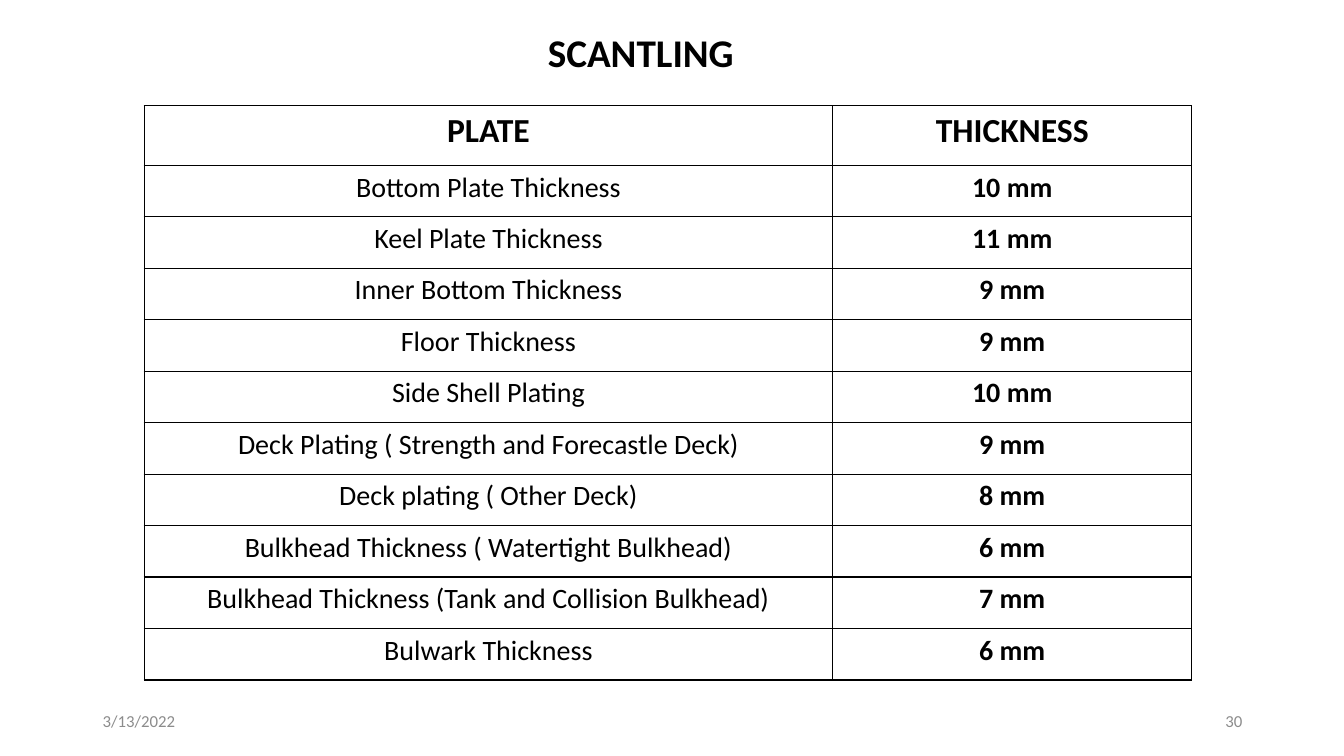
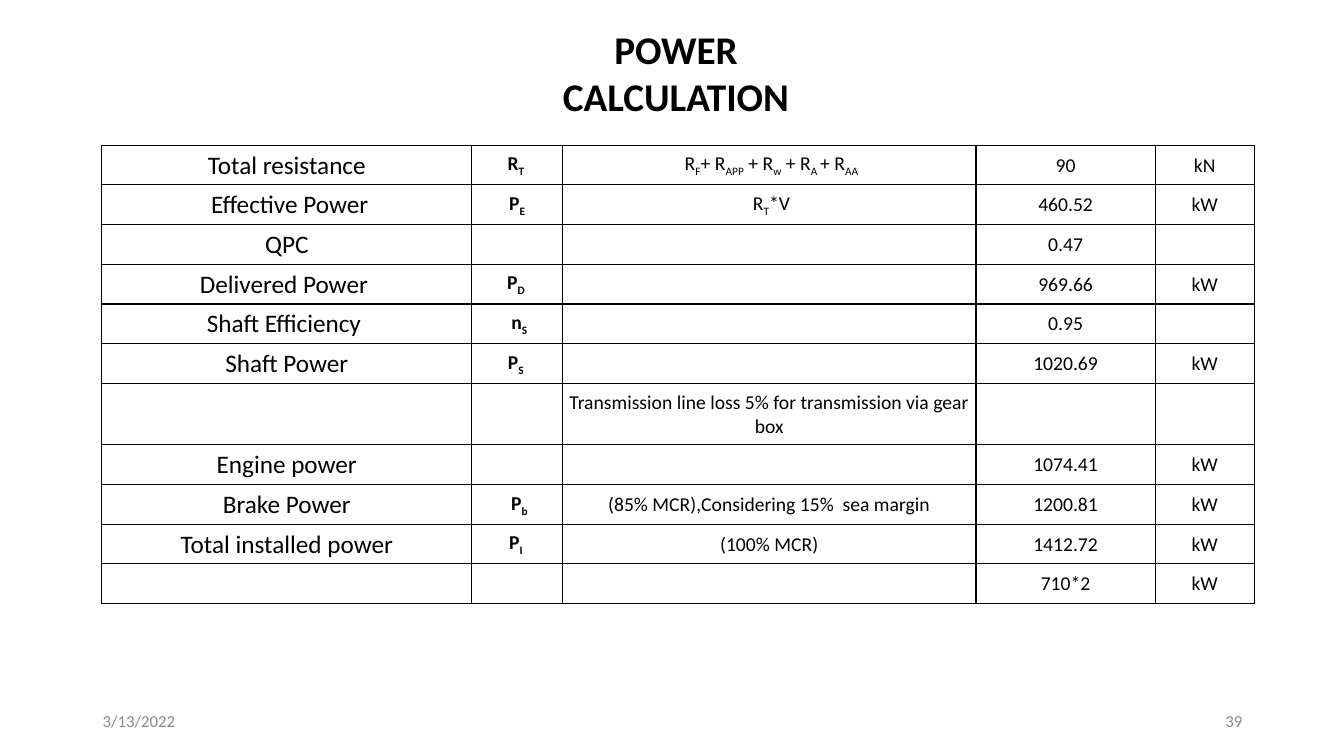
from dataclasses import dataclass
from typing import Any

from lxml import etree
from pptx import Presentation
from pptx import util as u
from pptx.dml.color import RGBColor
from pptx.enum import text as t
from pptx.oxml import ns

BLACK = RGBColor(0, 0, 0)
GREY = RGBColor(0x8C, 0x8C, 0x8C)
WHITE = RGBColor(255, 255, 255)
FACE = "Calibri"
DATE = "3/13/2022"
LEFT, MID, RIGHT = t.PP_ALIGN.LEFT, t.PP_ALIGN.CENTER, t.PP_ALIGN.RIGHT
TITLE = {"size": u.Pt(28), "bold": True}
FOOT = {"size": u.Pt(12), "bold": False}
HEAD = {"size": u.Pt(24), "bold": True}
PLATE = {"size": u.Pt(20), "bold": False}
THICK = {"size": u.Pt(20), "bold": True}
NAME = {"size": u.Pt(18), "bold": False}
SIGN = {"size": u.Pt(14), "bold": True}
VALUE = {"size": u.Pt(14), "bold": False}
TIGHT = {
    "margin_left": u.Inches(0.01),
    "margin_right": u.Inches(0.01),
    "margin_top": u.Inches(0.01),
    "margin_bottom": 0,
    "vertical_anchor": t.MSO_ANCHOR.MIDDLE,
}
SUB = "-25000"


@dataclass
class Box:
    x: float
    y: float
    w: float
    h: float


@dataclass
class Grid:
    box: Box
    cols: list[float]
    odd: int
    tall: float
    rows: list[list[str]]
    fonts: list[dict[str, Any]]
    head: dict[str, Any] | None
    cell: dict[str, Any]


@dataclass
class Page:
    title: str
    place: Box
    num: str
    grid: Grid


PLATES = [
    ["PLATE", "THICKNESS"],
    ["Bottom Plate Thickness", "10 mm"],
    ["Keel Plate Thickness", "11 mm"],
    ["Inner Bottom Thickness", "9 mm"],
    ["Floor Thickness", "9 mm"],
    ["Side Shell Plating", "10 mm"],
    ["Deck Plating ( Strength and Forecastle Deck)", "9 mm"],
    ["Deck plating ( Other Deck)", "8 mm"],
    ["Bulkhead Thickness ( Watertight Bulkhead)", "6 mm"],
    ["Bulkhead Thickness (Tank and Collision Bulkhead)", "7 mm"],
    ["Bulwark Thickness", "6 mm"],
]
POWERS = [
    ["Total resistance", "R|T |", " R|F|+ R|APP| + R|w| + R|A |+ R|AA|", "90", "kN"],
    [" Effective Power", "P|E|", " R|T|*V", "460.52", "kW"],
    ["QPC", "", "", "0.47", ""],
    ["Delivered Power ", "P|D |", "", "969.66", "kW"],
    ["Shaft Efficiency ", " n|S|", "", "0.95", ""],
    ["Shaft Power", "P|S |", "", "1020.69", "kW"],
    ["", "", "Transmission line loss 5% for transmission via gear box", "", ""],
    ["Engine power", "", "", "1074.41", "kW"],
    ["Brake Power", " P|b|", "(85% MCR),Considering 15%  sea margin", "1200.81", "kW"],
    ["Total installed power", "P|I |", "(100% MCR)", "1412.72", "kW"],
    ["", "", "", "710*2", "kW"],
]
PAGES = [
    Page("SCANTLING", Box(5.3, 0.23, 2.11, 0.57), "30",
         Grid(Box(1.43, 1.05, 10.39, 5.7), [6.83, 3.56], 0, 0.59,
              PLATES, [PLATE, THICK], HEAD, {})),
    Page("POWER CALCULATION", Box(4.83, 0.2, 3.75, 0.57), "39",
         Grid(Box(1.01, 1.44, 11.44, 4.55), [3.67, 0.9, 4.1, 1.78, 0.98], 6, 0.61,
              POWERS, [NAME, SIGN, VALUE, VALUE, VALUE], None, TIGHT)),
]


def span(box: Box) -> list[int]:
    return [u.Inches(v) for v in (box.x, box.y, box.w, box.h)]


def put(item: Any, form: dict[str, Any]) -> None:
    for key, val in form.items():
        setattr(item, key, val)


def write(para: Any, words: str, form: dict[str, Any], tint: RGBColor, side: Any) -> None:
    para.alignment = side
    for i, part in enumerate(words.split("|")):
        if part:
            run = para.add_run()
            run.text = part
            put(run.font, {"name": FACE, **form})
            run.font.color.rgb = tint
            if i % 2:
                run.font._element.set("baseline", SUB)


def label(slide: Any, box: Box, words: str, form: dict[str, Any],
          tint: RGBColor, side: Any, wrap: bool, anchor: Any) -> None:
    frame = slide.shapes.add_textbox(*span(box)).text_frame
    put(frame, {"word_wrap": wrap, "vertical_anchor": anchor})
    write(frame.paragraphs[0], words, form, tint, side)


def edge(cell: Any) -> None:
    props = cell._tc.get_or_add_tcPr()
    for i, tag in enumerate(("a:lnL", "a:lnR", "a:lnT", "a:lnB")):
        line = etree.Element(ns.qn(tag), w=str(u.Pt(1)))
        fill = etree.SubElement(line, ns.qn("a:solidFill"))
        etree.SubElement(fill, ns.qn("a:srgbClr"), val=str(BLACK))
        props.insert(i, line)


def draw(slide: Any, grid: Grid) -> None:
    count = len(grid.rows)
    table = slide.shapes.add_table(count, len(grid.cols), *span(grid.box)).table
    put(table, {"first_row": False, "horz_banding": False})
    for col, width in zip(table.columns, grid.cols):
        col.width = u.Inches(width)
    step = (grid.box.h - grid.tall) / (count - 1)
    for r, row in enumerate(grid.rows):
        table.rows[r].height = u.Inches(grid.tall if r == grid.odd else step)
        for c, words in enumerate(row):
            cell = table.cell(r, c)
            put(cell, grid.cell)
            cell.fill.background()
            edge(cell)
            form = grid.head if grid.head and r == 0 else grid.fonts[c]
            write(cell.text_frame.paragraphs[0], words, form, BLACK, MID)


def build(deck: Any, page: Page) -> None:
    slide = deck.slides.add_slide(deck.slide_layouts[6])
    slide.background.fill.solid()
    slide.background.fill.fore_color.rgb = WHITE
    for x, words, side in ((0.92, DATE, LEFT), (9.42, page.num, RIGHT)):
        label(slide, Box(x, 6.95, 3, 0.4), words, FOOT, GREY, side, True, t.MSO_ANCHOR.MIDDLE)
    draw(slide, page.grid)
    label(slide, page.place, page.title, TITLE, BLACK, MID, False, t.MSO_ANCHOR.TOP)


def main() -> None:
    deck = Presentation()
    put(deck, {"slide_width": u.Inches(13.33), "slide_height": u.Inches(7.5)})
    for page in PAGES:
        build(deck, page)
    deck.save("out.pptx")


if __name__ == "__main__":
    main()
